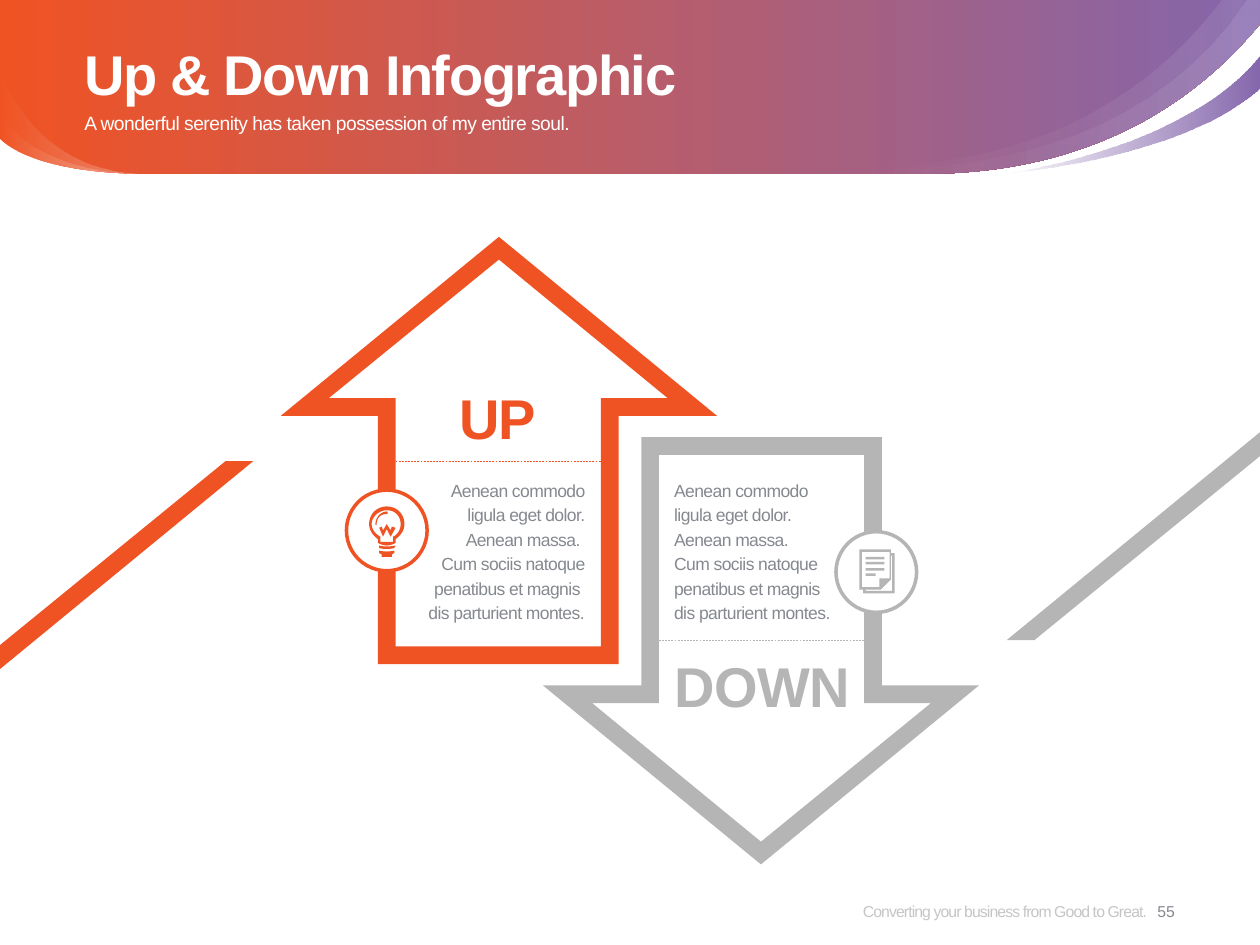
"""Build the Up & Down infographic slide."""
import pptx
import pptx.dml.color
import pptx.enum.dml
import pptx.enum.shapes
import pptx.enum.text
import pptx.oxml
import pptx.oxml.ns
import pptx.util
from lxml import etree

Inches = pptx.util.Inches
Pt = pptx.util.Pt
qn = pptx.oxml.ns.qn
ALIGN = pptx.enum.text.PP_ALIGN
ANCHOR = pptx.enum.text.MSO_ANCHOR
ORANGE, PURPLE, SILVER, GREY, WHITE = "F05323", "8466AC", "B5B5B5", "85898F", "FFFFFF"


def paint(fill, element, *stops):
    """Fill with one (position, colour, opacity) stop or a horizontal gradient of two."""
    if len(stops) == 1:
        fill.solid()
        targets = [fill.fore_color]
    else:
        fill.gradient()
        fill.gradient_angle = 0
        targets = [stop.color for stop in fill.gradient_stops]
        for gradient_stop, stop in zip(fill.gradient_stops, stops):
            gradient_stop.position = stop[0] / 100
    for target, stop in zip(targets, stops):
        target.rgb = pptx.dml.color.RGBColor.from_string(stop[1])
    for node, stop in zip(list(element.iter(qn("a:srgbClr"))), stops):
        if stop[2] < 100:
            etree.SubElement(node, qn("a:alpha")).set("val", str(stop[2] * 1000))


def write(shape, text, size, colour, bold=False, align=ALIGN.LEFT, anchor=ANCHOR.TOP,
          spacing=0, line_height=None, opacity=100):
    """Write one paragraph per line of text into the shape."""
    frame = shape.text_frame
    frame.word_wrap = True
    frame.auto_size = pptx.enum.text.MSO_AUTO_SIZE.NONE
    frame.vertical_anchor = anchor
    frame.margin_left = frame.margin_right = frame.margin_top = frame.margin_bottom = 0
    for index, line in enumerate(text.split("\n")):
        paragraph = frame.add_paragraph() if index else frame.paragraphs[0]
        properties = paragraph._p.get_or_add_pPr()
        properties.set("marL", "0")
        properties.set("indent", "0")
        etree.SubElement(properties, qn("a:buNone"))
        paragraph.alignment = align
        paragraph.space_before = Pt(0)
        if line_height:
            paragraph.line_spacing = Pt(line_height)
        run = paragraph.add_run()
        run.text = line
        run.font.name = "Arial"
        run.font.size = Pt(size)
        run.font.bold = bold
        paint(run.font.fill, run._r, (0, colour, opacity))
        run._r.get_or_add_rPr().set("spc", str(round(spacing * 100)))


presentation = pptx.Presentation()
presentation.slide_width = Inches(10)
presentation.slide_height = Inches(7.5)
slide = presentation.slides.add_slide(presentation.slide_layouts[1])

banner_edge = (9.36, 0.97, 8.45, 1.38, 7.34, 1.38)
sheen_tail = (6.83, 1.38, 6.53, 1.31, 6.51, 1.31)
left_edge = (0.21, 1.37, 0, 1.1, 0, 1.1)
banner = [(10, 0), (10, 0.19), banner_edge, (1.14, 1.38), left_edge, (0, 0)]
swoosh = [(7.94, 1.38), (7.94, 1.38, 9.4, 1.2, 10, 0.43), (10, 0.69),
          (10, 0.69, 9.54, 1.22, 7.94, 1.38)]
wide_sheen = [(10, 0), (10, 0.19), banner_edge, (7.25, 1.38), sheen_tail,
              (8.32, 1.43, 9.26, 0.58, 9.69, 0)]
narrow_sheen = [(6.51, 1.31), (6.58, 1.32, 8.82, 1.62, 9.89, 0), (10, 0), (10, 0.19),
                banner_edge, (7.25, 1.38), sheen_tail]
low_glow, high_glow = [
    [(1.14, 1.38), left_edge, (0, top), (0, top, 0.21, bend, 1.14, 1.38)]
    for top, bend in ((0.89, 1.36), (0.53, 1.35))]

up_arrow = [
    [(4.91, 5.27), (3, 5.27), (3, 3.3), (2.23, 3.3), (3.96, 1.88), (5.69, 3.3), (4.91, 3.3)],
    [(3.14, 5.13), (4.77, 5.13), (4.77, 3.16), (5.3, 3.16), (3.96, 2.06), (2.61, 3.16),
     (3.14, 3.16)]]
up_band = [[(2.01, 3.66), (0, 5.31), (0, 5.12), (1.79, 3.66)]]
down_arrow, down_band = [
    [[(10 - x, 8.74 - y) for x, y in contour] for contour in contours]
    for contours in (up_arrow, up_band)]

bulb_icon = [
    [(3.07, 4.02), (2.99, 4.02, 2.93, 4.08, 2.93, 4.16), (2.93, 4.21, 2.96, 4.25, 3, 4.28),
     (3, 4.31), (3.02, 4.32, 3.05, 4.33, 3.07, 4.33), (3.09, 4.33, 3.12, 4.32, 3.14, 4.31),
     (3.14, 4.28), (3.18, 4.25, 3.21, 4.21, 3.21, 4.16), (3.21, 4.08, 3.15, 4.02, 3.07, 4.02)],
    [(3.12, 4.26), (3.12, 4.3), (3.02, 4.3), (3.02, 4.26),
     (2.98, 4.24, 2.95, 4.2, 2.95, 4.16), (2.95, 4.1, 3.01, 4.05, 3.07, 4.05),
     (3.14, 4.05, 3.18, 4.1, 3.18, 4.16), (3.18, 4.2, 3.16, 4.24, 3.12, 4.26)],
    [(3.07, 4.08), (3.08, 4.08, 3.08, 4.06, 3.07, 4.06), (3.02, 4.06, 2.98, 4.11, 2.98, 4.16),
     (2.98, 4.17, 2.99, 4.17, 2.99, 4.16), (2.99, 4.11, 3.02, 4.08, 3.07, 4.08)],
    [(3.1, 4.21), (3.07, 4.16), (3.04, 4.21), (3.03, 4.18), (3.01, 4.19), (3.04, 4.26),
     (3.07, 4.2), (3.1, 4.26), (3.14, 4.19), (3.11, 4.18)],
    [(3.01, 4.33), (3.01, 4.35), (3.05, 4.36, 3.09, 4.36, 3.13, 4.35), (3.14, 4.33),
     (3.09, 4.34, 3.05, 4.34, 3.01, 4.33)],
    [(3.01, 4.37), (3.01, 4.39), (3.03, 4.4), (3.03, 4.42), (3.11, 4.42), (3.11, 4.4),
     (3.13, 4.39), (3.13, 4.37), (3.09, 4.38, 3.05, 4.38, 3.01, 4.37)]]
document_icon = [
    [(7.07, 4.39), (7.07, 4.36), (6.82, 4.36), (6.82, 4.68), (6.85, 4.68), (6.85, 4.71),
     (7.1, 4.71), (7.1, 4.39)],
    [(6.84, 4.66), (6.84, 4.38), (7.06, 4.38), (7.06, 4.59), (6.98, 4.59), (6.98, 4.66)],
    [(7.08, 4.69), (6.87, 4.69), (6.87, 4.68), (6.99, 4.68), (7.07, 4.6), (7.07, 4.41),
     (7.08, 4.41)]]
for top, right in ((4.42, 7.02), (4.46, 7.02), (4.51, 7.02), (4.55, 6.95)):
    document_icon.append([(6.87, top), (right, top), (right, top + 0.02), (6.87, top + 0.02)])

sheen_stops = [(15, WHITE, 0), (100, WHITE, 10)]
glow_stops = [(0, WHITE, 0), (100, WHITE, 30)]
orange_stops, silver_stops = [(0, ORANGE, 100)], [(0, SILVER, 100)]
outlines = [
    ([(0, ORANGE, 100), (100, PURPLE, 100)], None, [banner]),
    ([(0, PURPLE, 0), (100, PURPLE, 100)], None, [swoosh]),
    (sheen_stops, None, [wide_sheen]),
    (glow_stops, None, [low_glow]),
    (glow_stops, None, [high_glow]),
    (sheen_stops, None, [narrow_sheen]),
    (silver_stops, None, down_arrow),
    (silver_stops, (6.955, 4.54), document_icon),
    (orange_stops, None, up_band),
    (silver_stops, None, down_band),
    (orange_stops, None, up_arrow),
    (orange_stops, (3.07, 4.21), bulb_icon),
]
for stops, badge_centre, contours in outlines:
    if badge_centre:
        x, y = badge_centre
        badge = slide.shapes.add_shape(
            pptx.enum.shapes.MSO_SHAPE.OVAL, Inches(x - 0.32), Inches(y - 0.32),
            Inches(0.64), Inches(0.64))
        badge.shadow.inherit = False
        paint(badge.fill, badge.element.spPr, (0, WHITE, 100))
        paint(badge.line.fill, badge.line._ln, *stops)
        badge.line.width = Pt(2)
    builder = None
    for contour in contours:
        points = [contour[0]]
        for segment in contour[1:]:
            if len(segment) == 2:
                points.append(segment)
                continue
            start, controls = points[-1], segment
            for step in range(1, 25):
                t = step / 24
                points.append(tuple(
                    (1 - t) ** 3 * start[axis] + 3 * t * (1 - t) ** 2 * controls[axis]
                    + 3 * t ** 2 * (1 - t) * controls[axis + 2] + t ** 3 * controls[axis + 4]
                    for axis in (0, 1)))
        points = [(Inches(x), Inches(y)) for x, y in points]
        if builder:
            builder.move_to(*points[0])
        else:
            builder = slide.shapes.build_freeform(*points[0])
        builder.add_line_segments(points[1:], close=True)
    shape = builder.convert_to_shape()
    shape.shadow.inherit = False
    paint(shape.fill, shape.element.spPr, *stops)
    shape.line.fill.background()

for left, right, y, stops in ((3.14, 4.77, 3.66, orange_stops), (5.23, 6.86, 5.08, silver_stops)):
    divider = slide.shapes.add_connector(
        pptx.enum.shapes.MSO_CONNECTOR.STRAIGHT, Inches(left), Inches(y), Inches(right), Inches(y))
    divider.line.width = Pt(0.25)
    paint(divider.line.fill, divider.line._ln, *stops)
    divider.line.dash_style = pptx.enum.dml.MSO_LINE.DASH
    etree.SubElement(divider.element.spPr, qn("a:effectLst"))

title, subtitle = slide.shapes.title, slide.placeholders[1]
for placeholder, top, height in ((title, 0.23, 0.65), (subtitle, 0.88, 0.39)):
    placeholder.left, placeholder.top = Inches(0.67), Inches(top)
    placeholder.width, placeholder.height = Inches(8.66), Inches(height)
    placeholder.element.getparent().append(placeholder.element)
write(title, "Up & Down Infographic", 32, WHITE, bold=True, anchor=ANCHOR.MIDDLE,
      spacing=-0.8, line_height=42)
write(subtitle, "A wonderful serenity has taken possession of my entire soul.", 11, WHITE,
      spacing=-0.3)

heading = dict(size=32, bold=True, align=ALIGN.CENTER, spacing=-0.3)
body = dict(size=10, colour=GREY, spacing=-0.3, line_height=14)
labels = [
    ((6.04, 6.96, 3.06, 0.54), "Converting your business from Good to Great.",
     dict(size=9, colour="8C8C8C", opacity=50, align=ALIGN.RIGHT, anchor=ANCHOR.MIDDLE,
          spacing=-0.5)),
    ((9.02, 6.96, 0.47, 0.54), "55",
     dict(size=9, colour=GREY, align=ALIGN.CENTER, anchor=ANCHOR.MIDDLE)),
    ((3.26, 3.78, 1.38, 1.18),
     "Aenean commodo ligula eget dolor. Aenean massa. \n"
     "Cum sociis natoque penatibus et magnis \ndis parturient montes.",
     dict(body, align=ALIGN.RIGHT)),
    ((3.26, 3.04, 1.38, 0.54), "UP", dict(heading, colour=ORANGE)),
    ((5.35, 3.78, 1.38, 1.18),
     "Aenean commodo ligula eget dolor. Aenean massa.\n"
     "Cum sociis natoque penatibus et magnis\ndis parturient montes.", body),
    ((5.28, 5.17, 1.54, 0.54), "DOWN", dict(heading, colour=SILVER)),
]
for box, text, text_format in labels:
    write(slide.shapes.add_textbox(*map(Inches, box)), text, **text_format)

presentation.save("out.pptx")
